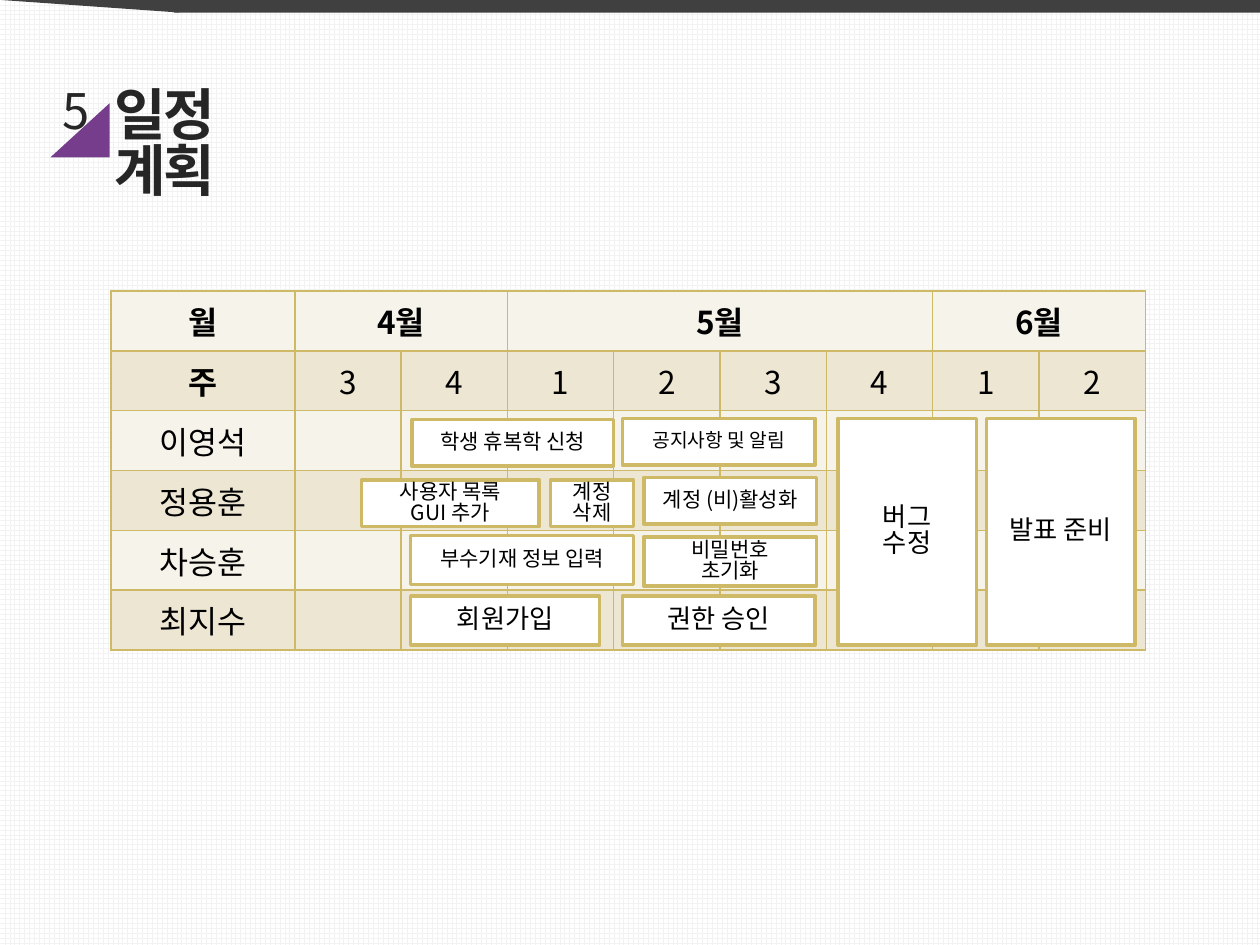
import pptx
import pptx.util
import pptx.dml.color
import pptx.enum.dml
import pptx.enum.shapes
import pptx.enum.text
from lxml import etree
from pptx.util import Inches

RGBColor = pptx.dml.color.RGBColor
SHAPE = pptx.enum.shapes.MSO_SHAPE
ALIGN = pptx.enum.text.PP_ALIGN
ANCHOR = pptx.enum.text.MSO_ANCHOR

FONT = "Noto Sans CJK KR"
WHITE = RGBColor(0xFF, 0xFF, 0xFF)
BLACK = RGBColor(0, 0, 0)
GRID = RGBColor(0xF2, 0xF2, 0xF2)
DARK = RGBColor(0x40, 0x40, 0x40)
INK = RGBColor(0x26, 0x26, 0x26)
PURPLE = RGBColor(0x75, 0x3D, 0x8B)
GOLD = RGBColor(0xCE, 0xB9, 0x66)
BANDS = (RGBColor(0xF6, 0xF3, 0xEA), RGBColor(0xED, 0xE6, 0xD3))

MONTHS = {0: ("월", 1), 1: ("4월", 2), 3: ("5월", 4), 7: ("6월", 2)}
WEEKS = ["주", "3", "4", "1", "2", "3", "4", "1", "2"]
MEMBERS = ["이영석", "정용훈", "차승훈", "최지수"]
TASKS = [
    (4.23, 1.95, 1.37, 0.39, 12, ["비밀번호", "초기화"]),
    (2.38, 1.94, 1.77, 0.39, 12, ["부수기재 정보 입력"]),
    (4.06, 2.42, 1.53, 0.39, 15, ["권한 승인"]),
    (2.38, 2.42, 1.5, 0.39, 15, ["회원가입"]),
    (4.23, 1.48, 1.37, 0.37, 12, ["계정 (비)활성화"]),
    (3.49, 1.5, 0.66, 0.37, 12, ["계정 삭제"]),
    (4.06, 1.01, 1.53, 0.37, 11, ["공지사항 및 알림"]),
    (2.39, 1.02, 1.6, 0.37, 12, ["학생 휴복학 신청"]),
    (6.95, 1.01, 1.18, 1.8, 15, ["발표 준비"]),
    (5.77, 1.01, 1.1, 1.8, 15, ["버그", "수정"]),
    (1.99, 1.5, 1.41, 0.37, 12, ["사용자 목록", "GUI 추가"]),
]


def add_run(p, text, size, color=BLACK, bold=False, spacing=0):
    """Add one run in the slide font for Latin and Korean script."""
    r = p.add_run()
    r.text = text
    r.font.size = pptx.util.Pt(size)
    r.font.bold = bold
    r.font.color.rgb = color
    r.font.name = FONT
    rpr = r.font._element
    etree.SubElement(rpr, pptx.oxml.ns.qn("a:ea"), typeface=FONT)
    if spacing:
        rpr.set("spc", str(int(spacing * 100)))


def add_block(slide, kind, x, y, w, h, fill, line=None):
    """Add a flat filled shape with an optional outline."""
    sp = slide.shapes.add_shape(kind, Inches(x), Inches(y), Inches(w), Inches(h))
    sp.shadow.inherit = False
    sp.fill.solid()
    sp.fill.fore_color.rgb = fill
    if line is None:
        sp.line.fill.background()
    else:
        sp.line.color.rgb = line
        sp.line.width = pptx.util.Pt(2)
    return sp


def add_top_band(slide, x, y, w, h):
    """Draw the dark band with its slanted left end."""
    wedge = add_block(slide, SHAPE.RIGHT_TRIANGLE, x, y, 1.42, h, DARK)
    xfrm = wedge._element.spPr.xfrm
    xfrm.set("flipH", "1")
    xfrm.set("flipV", "1")
    add_block(slide, SHAPE.RECTANGLE, x + 1.38, y - 0.01, w - 1.38, h + 0.01, DARK)


def add_heading(slide, x, y):
    """Place the numbered purple corner and the title beside it."""
    corner = add_block(slide, SHAPE.RIGHT_TRIANGLE, x, y + 0.15, 0.47, 0.43, PURPLE)
    corner._element.spPr.xfrm.set("flipH", "1")
    title = slide.shapes.title
    title.left, title.top = Inches(x + 0.41), Inches(y)
    title.width, title.height = Inches(1.8), Inches(0.64)
    tf = title.text_frame
    tf.word_wrap = True
    tf.auto_size = pptx.enum.text.MSO_AUTO_SIZE.NONE
    tf.vertical_anchor = ANCHOR.TOP
    p = tf.paragraphs[0]
    p.alignment = ALIGN.LEFT
    p.line_spacing = 0.83
    add_run(p, "일정 계획", 32, INK, True, -1.5)
    number = slide.shapes.add_textbox(Inches(x), Inches(y), Inches(0.55), Inches(0.57))
    number.text_frame.word_wrap = True
    p = number.text_frame.paragraphs[0]
    p.line_spacing = 0.83
    add_run(p, "5", 28, INK, spacing=-3)


def style_cell(cell, fill):
    """Give a cell gold borders, a band colour and middle anchoring."""
    tcpr = cell._tc.get_or_add_tcPr()
    for side in ("a:lnL", "a:lnR", "a:lnT", "a:lnB"):
        ln = etree.SubElement(tcpr, pptx.oxml.ns.qn(side), w="12700")
        solid = etree.SubElement(ln, pptx.oxml.ns.qn("a:solidFill"))
        etree.SubElement(solid, pptx.oxml.ns.qn("a:srgbClr"), val=str(GOLD))
    cell.fill.solid()
    cell.fill.fore_color.rgb = fill
    cell.vertical_anchor = ANCHOR.MIDDLE


def write_cell(cell, text, bold=False):
    """Write centred text into a cell."""
    p = cell.text_frame.paragraphs[0]
    p.alignment = ALIGN.CENTER
    add_run(p, text, 18, BLACK, bold)


def add_schedule(slide, x, y, w, h):
    """Build the calendar table with months, weeks and members."""
    rows, cols, first = len(MEMBERS) + 2, len(WEEKS), 1.46
    table = slide.shapes.add_table(
        rows, cols, Inches(x), Inches(y), Inches(w), Inches(h)).table
    for i, col in enumerate(table.columns):
        col.width = Inches((w - first) / (cols - 1) if i else first)
    for i, row in enumerate(table.rows):
        row.height = Inches(h / rows)
        for cell in row.cells:
            style_cell(cell, BANDS[i % 2])
    for i, (month, span) in MONTHS.items():
        if span > 1:
            table.cell(0, i).merge(table.cell(0, i + span - 1))
        write_cell(table.cell(0, i), month, True)
    for i, week in enumerate(WEEKS):
        write_cell(table.cell(1, i), week, i == 0)
    for i, member in enumerate(MEMBERS, 2):
        write_cell(table.cell(i, 0), member)


def add_tasks(slide, x, y):
    """Lay the task boxes over the calendar."""
    for dx, dy, w, h, size, lines in TASKS:
        sp = add_block(slide, SHAPE.RECTANGLE, x + dx, y + dy, w, h, WHITE, GOLD)
        tf = sp.text_frame
        tf.word_wrap = True
        tf.vertical_anchor = ANCHOR.MIDDLE
        for i, line in enumerate(lines):
            p = tf.add_paragraph() if i else tf.paragraphs[0]
            p.alignment = ALIGN.CENTER
            p.line_spacing = 0.83
            add_run(p, line, size)


def main():
    """Build and save the schedule slide."""
    prs = pptx.Presentation()
    prs.slide_width, prs.slide_height = Inches(10), Inches(7.5)
    slide = prs.slides.add_slide(prs.slide_layouts[5])
    fill = slide.background.fill
    fill.patterned()
    fill.pattern = pptx.enum.dml.MSO_PATTERN.LARGE_GRID
    fill.fore_color.rgb = GRID
    fill.back_color.rgb = WHITE
    add_top_band(slide, 0, 0, 10, 0.1)
    add_heading(slide, 0.4, 0.67)
    add_schedule(slide, 0.88, 2.31, 8.21, 2.85)
    add_tasks(slide, 0.88, 2.31)


    prs.save("out.pptx")


if __name__ == "__main__":
    main()
